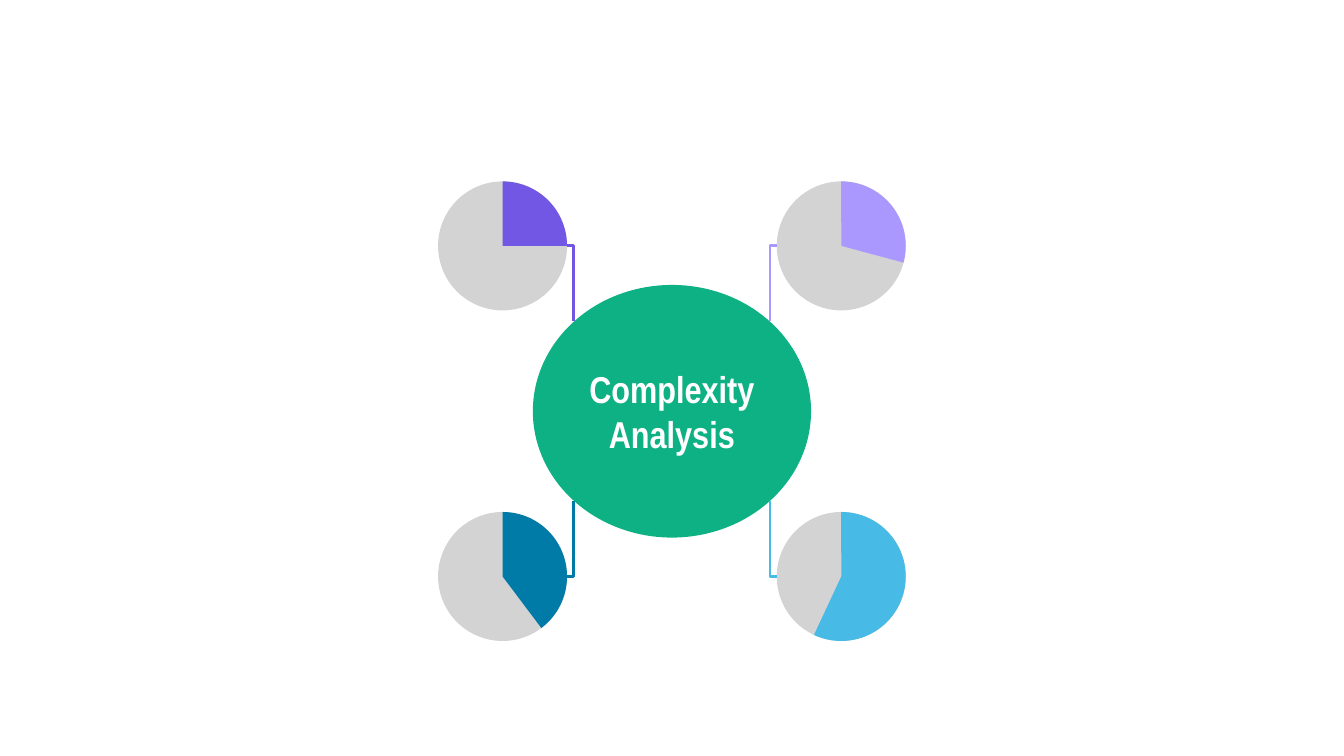
"""Build a slide with a central topic circle linked to four progress pies."""
import pptx
import pptx.dml.color
import pptx.enum.shapes
import pptx.enum.text
import pptx.oxml.ns
import pptx.util
from lxml import etree

WIDTH = 10
HEIGHT = WIDTH * 9 / 16
CENTRE_X, CENTRE_Y = WIDTH / 2, 3.06
PIE_SIZE = 0.96
PIE_REACH_X, PIE_REACH_Y = 1.26, 1.23
LINK_REACH_X, LINK_REACH_Y = 0.73, 0.67
COLOURS = {
    "topic": "0EB184",
    "text": "FFFFFF",
    "track": "D3D3D3",
    "violet": "7157E4",
    "lavender": "AB98FF",
    "navy": "007BA8",
    "sky": "48BAE6",
}
BRANCHES = [
    (-1, -1, "violet", 90),
    (1, -1, "lavender", 105),
    (-1, 1, "navy", 143),
    (1, 1, "sky", 205),
]


def rgb(name):
    """Return the named palette colour."""
    return pptx.dml.color.RGBColor.from_string(COLOURS[name])


def add_disc(slide, preset, x, y, width, height, colour):
    """Add a plain filled shape centred on x, y."""
    inches = pptx.util.Inches
    disc = slide.shapes.add_shape(
        preset, inches(x - width / 2), inches(y - height / 2), inches(width), inches(height)
    )
    disc.shadow.inherit = False
    disc.fill.solid()
    disc.fill.fore_color.rgb = rgb(colour)
    disc.line.fill.background()
    return disc


def add_topic(slide, wording):
    """Add the central circle with its wording."""
    topic = add_disc(
        slide, pptx.enum.shapes.MSO_SHAPE.OVAL, CENTRE_X, CENTRE_Y, 2.07, 1.88, "topic"
    )
    frame = topic.text_frame
    frame.word_wrap = True
    frame.vertical_anchor = pptx.enum.text.MSO_ANCHOR.MIDDLE
    frame.margin_left = frame.margin_right = pptx.util.Inches(0.1)
    frame.margin_top = frame.margin_bottom = pptx.util.Inches(0.1)
    paragraph = frame.paragraphs[0]
    paragraph.text = wording
    paragraph.alignment = pptx.enum.text.PP_ALIGN.CENTER
    paragraph.font.name = "Arial Narrow"
    paragraph.font.size = pptx.util.Pt(20)
    paragraph.font.bold = True
    paragraph.font.color.rgb = rgb("text")


def add_progress_pie(slide, x, y, colour, degrees):
    """Add a grey disc with a coloured sector swept clockwise from the top."""
    presets = pptx.enum.shapes.MSO_SHAPE
    add_disc(slide, presets.OVAL, x, y, PIE_SIZE, PIE_SIZE, "track")
    sector = add_disc(slide, presets.PIE, x, y, PIE_SIZE, PIE_SIZE, colour)
    sector.adjustments[0] = 270 * 0.6
    sector.adjustments[1] = (270 + degrees) % 360 * 0.6


def add_link(slide, start, end, colour):
    """Add a one-bend connector that leaves its start horizontally."""
    points = [pptx.util.Inches(length) for length in (*start, *end)]
    link = slide.shapes.add_connector(pptx.enum.shapes.MSO_CONNECTOR.ELBOW, *points)
    link.line.color.rgb = rgb(colour)
    link.line.width = pptx.util.Pt(1.5)
    properties = link.element.spPr
    properties.find(pptx.oxml.ns.qn("a:prstGeom")).set("prst", "bentConnector2")
    etree.SubElement(properties, pptx.oxml.ns.qn("a:effectLst"))


def add_branch(slide, column, row, colour, degrees):
    """Add one corner pie and its link to the topic."""
    x = CENTRE_X + column * PIE_REACH_X
    y = CENTRE_Y + row * PIE_REACH_Y
    add_progress_pie(slide, x, y, colour, degrees)
    pie_edge = (x - column * PIE_SIZE / 2, y)
    topic_edge = (CENTRE_X + column * LINK_REACH_X, CENTRE_Y + row * LINK_REACH_Y)
    add_link(slide, pie_edge, topic_edge, colour)


def main():
    """Create the slide and save it."""
    deck = pptx.Presentation()
    deck.slide_width = pptx.util.Inches(WIDTH)
    deck.slide_height = pptx.util.Inches(HEIGHT)
    slide = deck.slides.add_slide(deck.slide_layouts[6])
    add_topic(slide, "Complexity Analysis")
    for branch in BRANCHES:
        add_branch(slide, *branch)
    deck.save("out.pptx")


if __name__ == "__main__":
    main()
